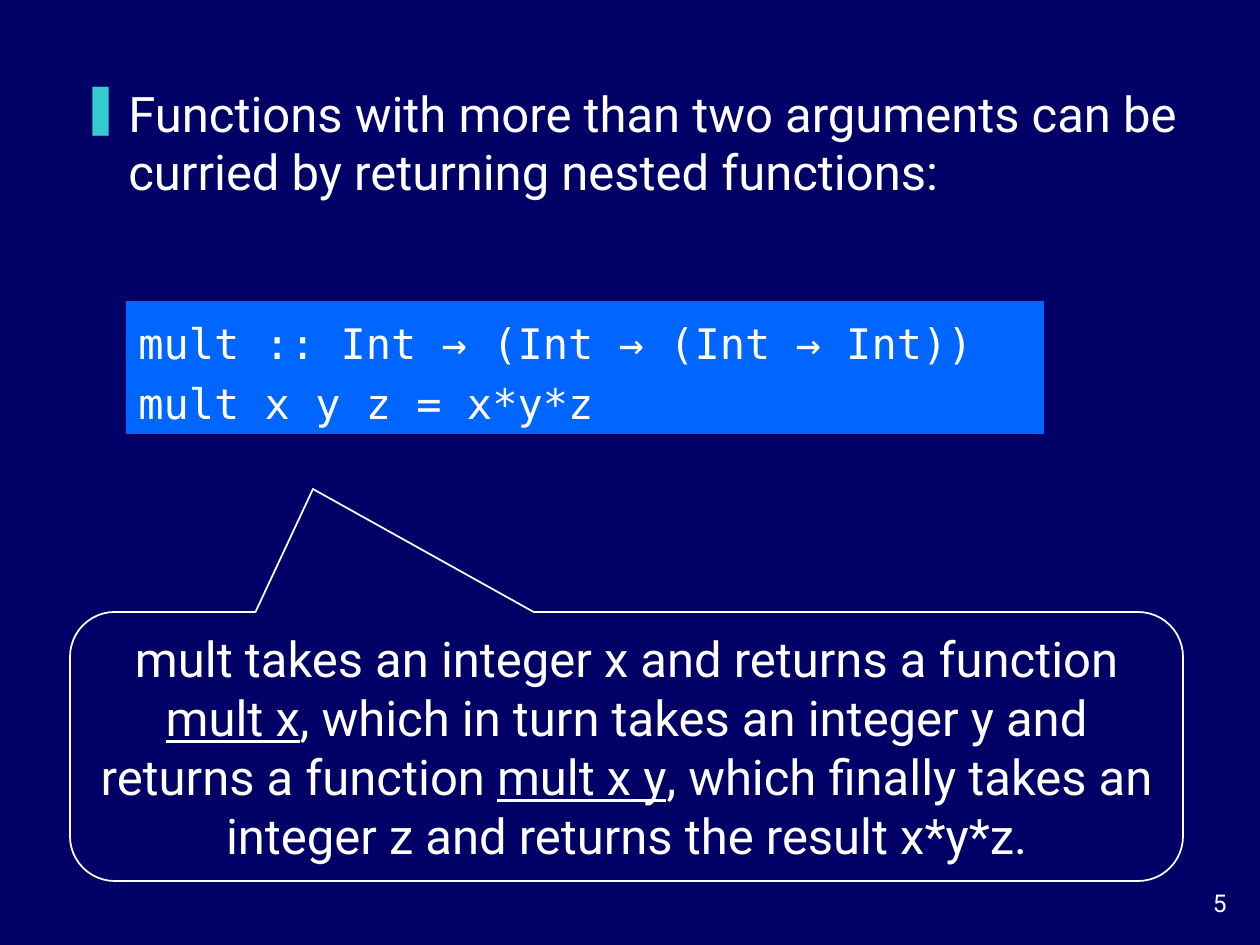
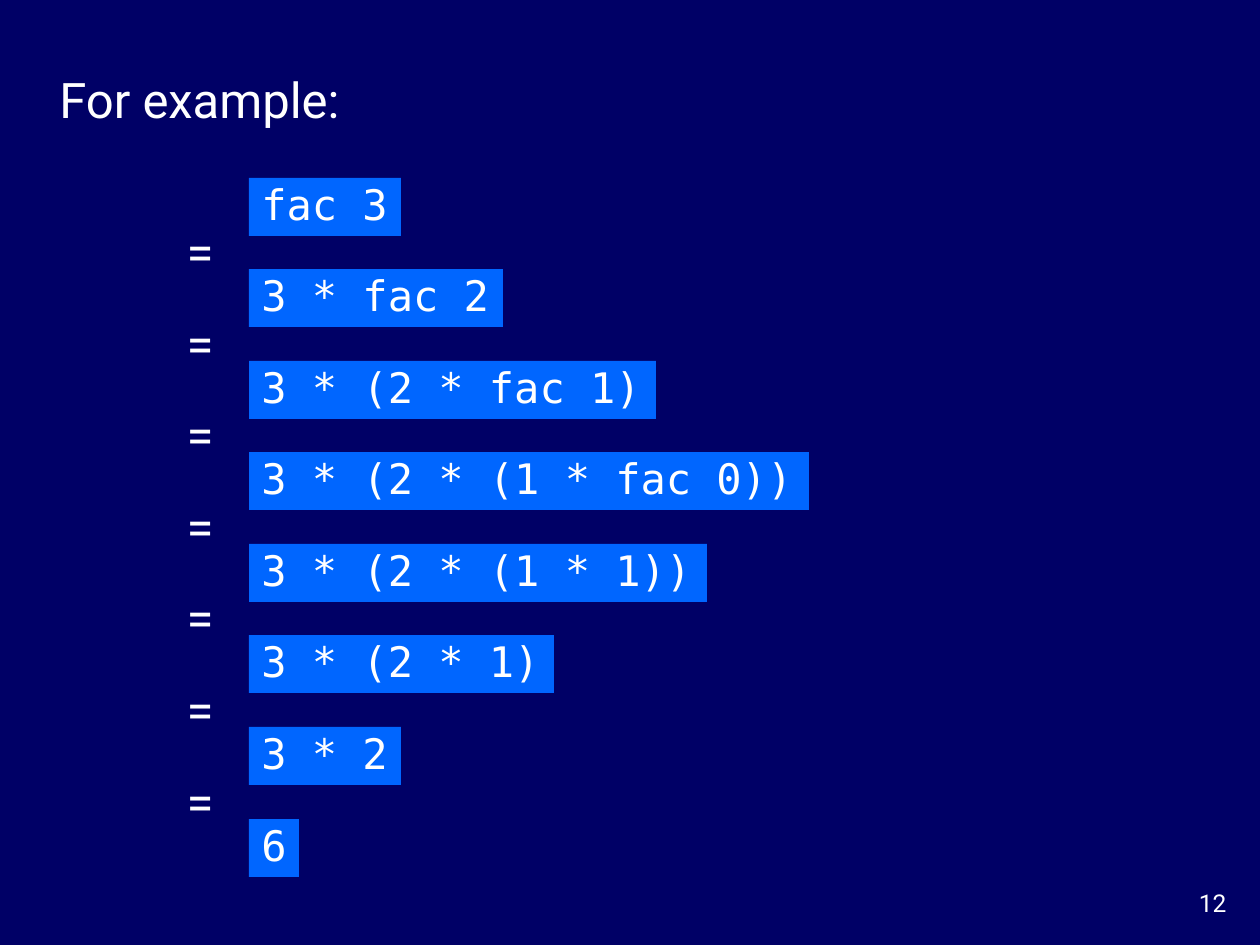
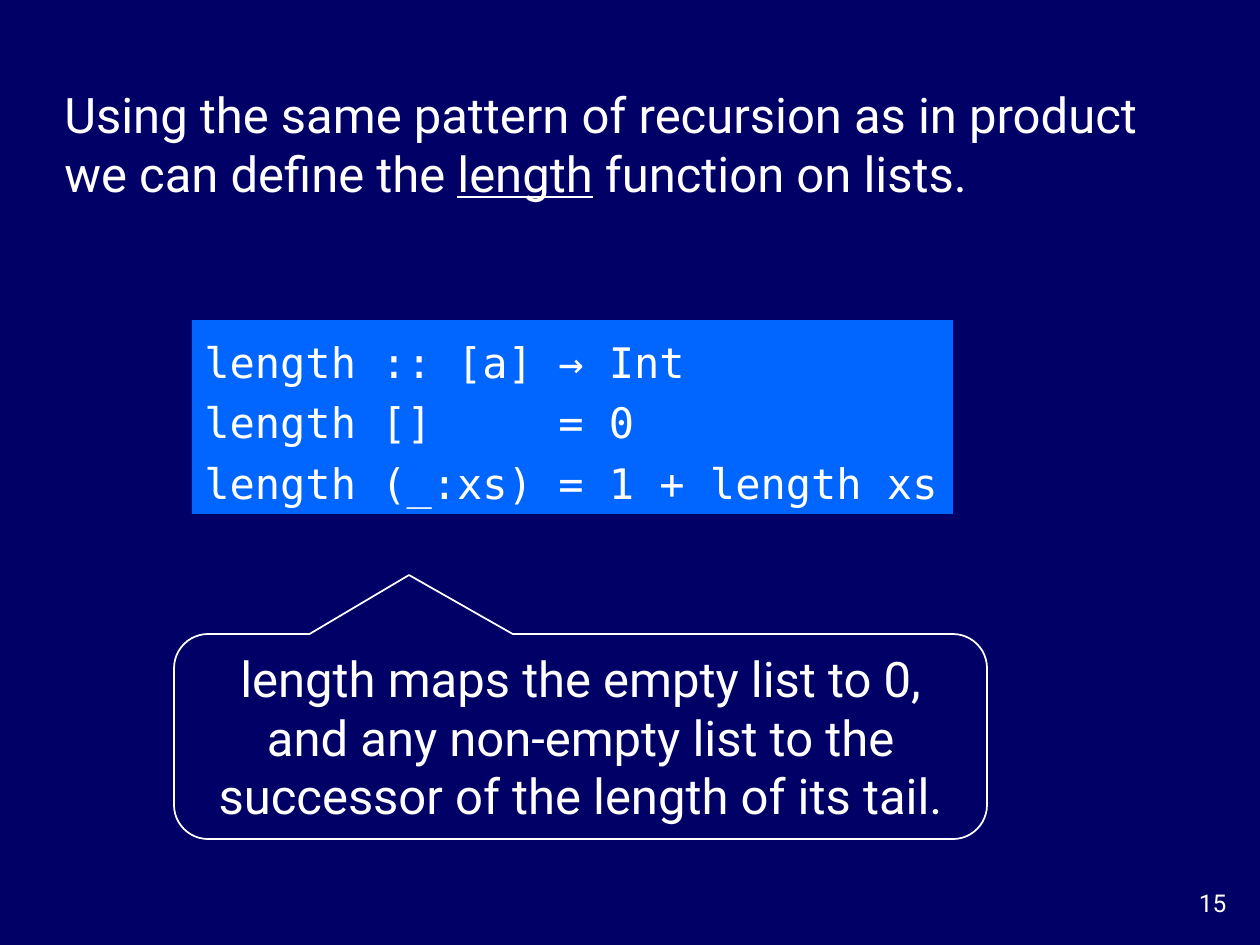
from dataclasses import dataclass

from lxml.etree import SubElement
from pptx import Presentation
from pptx.dml.color import RGBColor
from pptx.enum.shapes import MSO_SHAPE as Preset
from pptx.enum.text import MSO_ANCHOR as Anchor, MSO_AUTO_SIZE as AutoSize, PP_ALIGN as Align
from pptx.oxml.ns import qn
from pptx.util import Pt

PX_PER_INCH = 126


def px(length):
    return round(length * 914400 / PX_PER_INCH)


@dataclass(frozen=True)
class Theme:
    background: RGBColor = RGBColor(0x00, 0x00, 0x66)
    code_fill: RGBColor = RGBColor(0x00, 0x66, 0xFF)
    bullet: RGBColor = RGBColor(0x33, 0xCC, 0xCC)
    ink: RGBColor = RGBColor(0xFF, 0xFF, 0xFF)
    text_font: str = "Roboto"
    code_font: str = "DejaVu Sans Mono"
    text_size: int = 28
    code_size: int = 24
    number_size: int = 14


class Deck:
    def __init__(self, theme):
        self.theme = theme
        self.presentation = Presentation()
        self.presentation.slide_width = px(1260)
        self.presentation.slide_height = px(945)
        self.slide = None

    def new_slide(self, number):
        self.slide = self.presentation.slides.add_slide(self.presentation.slide_layouts[6])
        fill = self.slide.background.fill
        fill.solid()
        fill.fore_color.rgb = self.theme.background
        self.text((1155, 882, 84, 42), [str(number)], size=self.theme.number_size,
                  align=Align.RIGHT, anchor=Anchor.TOP, grow=False)

    def fill_text(self, shape, lines, size=None, font=None, align=Align.LEFT,
                  anchor=Anchor.MIDDLE, wrap=True, grow=True, spacing=None):
        """A line is a string, or a tuple of alternating plain and underlined runs."""
        frame = shape.text_frame
        frame.word_wrap = wrap
        frame.vertical_anchor = anchor
        frame.auto_size = AutoSize.SHAPE_TO_FIT_TEXT if grow else AutoSize.NONE
        for index, line in enumerate(lines):
            paragraph = frame.add_paragraph() if index else frame.paragraphs[0]
            paragraph.alignment = align
            if spacing:
                paragraph.line_spacing = spacing
            for position, words in enumerate((line,) if isinstance(line, str) else line):
                run = paragraph.add_run()
                run.text = words
                run.font.name = font or self.theme.text_font
                run.font.size = Pt(size or self.theme.text_size)
                run.font.color.rgb = self.theme.ink
                if position % 2:
                    run.font.underline = True

    def text(self, box, lines, **style):
        shape = self.slide.shapes.add_textbox(*map(px, box))
        self.fill_text(shape, lines, **style)
        return shape

    def bullet(self, box, line):
        shape = self.text(box, [line], anchor=Anchor.TOP, grow=False)
        properties = shape.text_frame.paragraphs[0]._p.get_or_add_pPr()
        properties.set("marL", str(px(48)))
        properties.set("indent", str(px(-48)))
        colour = SubElement(properties, qn("a:buClr"))
        SubElement(colour, qn("a:srgbClr"), val=str(self.theme.bullet))
        SubElement(properties, qn("a:buChar"), char="❚")

    def code(self, box, lines, spacing):
        shape = self.slide.shapes.add_shape(Preset.RECTANGLE, *map(px, box))
        shape.shadow.inherit = False
        shape.fill.solid()
        shape.fill.fore_color.rgb = self.theme.code_fill
        shape.line.fill.background()
        self.fill_text(shape, lines, size=self.theme.code_size, font=self.theme.code_font,
                       wrap=False, spacing=spacing)

    def callout(self, box, tip, line):
        shape = self.slide.shapes.add_shape(Preset.ROUNDED_RECTANGULAR_CALLOUT, *map(px, box))
        shape.shadow.inherit = False
        shape.fill.background()
        shape.line.color.rgb = self.theme.ink
        shape.line.width = Pt(1)
        left, top, width, height = box
        shape.adjustments[0] = (tip[0] - left) / width - 0.5
        shape.adjustments[1] = (tip[1] - top) / height - 0.5
        self.fill_text(shape, [line], align=Align.CENTER)


def currying(deck):
    deck.new_slide(5)
    deck.bullet((68, 77, 1135, 139),
                "Functions with more than two arguments can be curried by returning nested functions:")
    deck.code((126, 301, 918, 133),
              ["mult :: Int → (Int → (Int → Int))", "mult x y z = x*y*z"], 1.2)
    deck.callout((70, 612, 1113, 269), (313, 489), (
        "mult takes an integer x and returns a function ", "mult x",
        ", which in turn takes an integer y and returns a function ", "mult x y",
        ", which finally takes an integer z and returns the result x*y*z."))


def factorial_example(deck):
    deck.new_slide(12)
    deck.text((47, 63, 309, 72), ["For example:"], wrap=False)
    steps = ["fac 3", "3 * fac 2", "3 * (2 * fac 1)", "3 * (2 * (1 * fac 0))",
             "3 * (2 * (1 * 1))", "3 * (2 * 1)", "3 * 2", "6"]
    first_top, last_top = 178, 819
    for index, step in enumerate(steps):
        top = first_top + (last_top - first_top) * index // (len(steps) - 1)
        # Box width follows the number of fixed-width characters
        deck.code((249, top, 25 + 51 * len(step) // 2, 58), [step], 0.9)
        if index:
            deck.text((170, top - 54, 60, 72), ["="], align=Align.CENTER, wrap=False)


def list_length(deck):
    deck.new_slide(15)
    deck.text((52, 78, 1139, 130), [(
        "Using the same pattern of recursion as in product we can define the ", "length",
        " function on lists.")])
    deck.code((192, 320, 761, 194),
              ["length :: [a] → Int", "length []     = 0", "length (_:xs) = 1 + length xs"], 1.2)
    deck.callout((174, 634, 813, 205), (409, 575),
                 "length maps the empty list to 0, and any non-empty list to the "
                 "successor of the length of its tail.")


def main():
    deck = Deck(Theme())
    for build in (currying, factorial_example, list_length):
        build(deck)
    deck.presentation.save("out.pptx")


if __name__ == "__main__":
    main()
